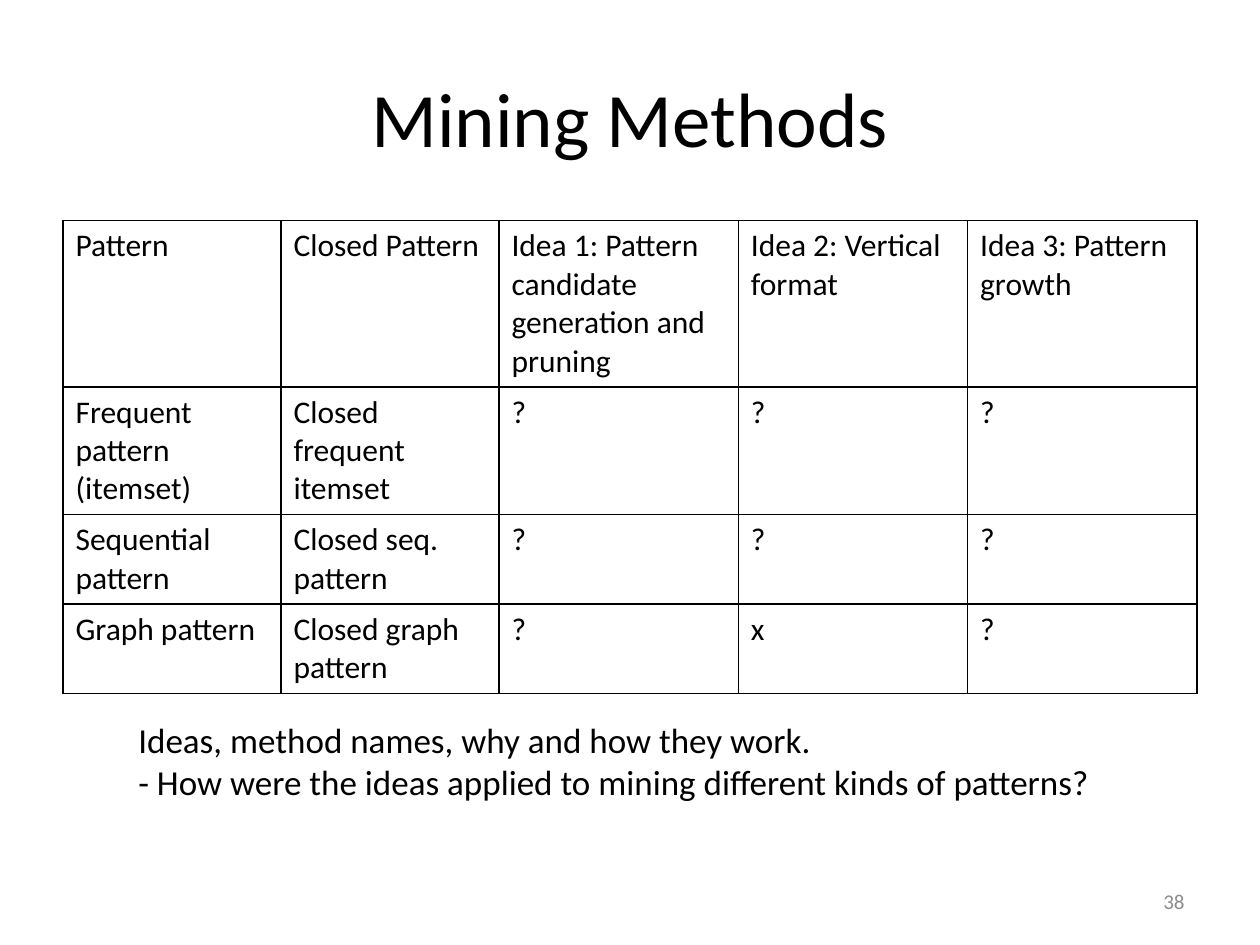
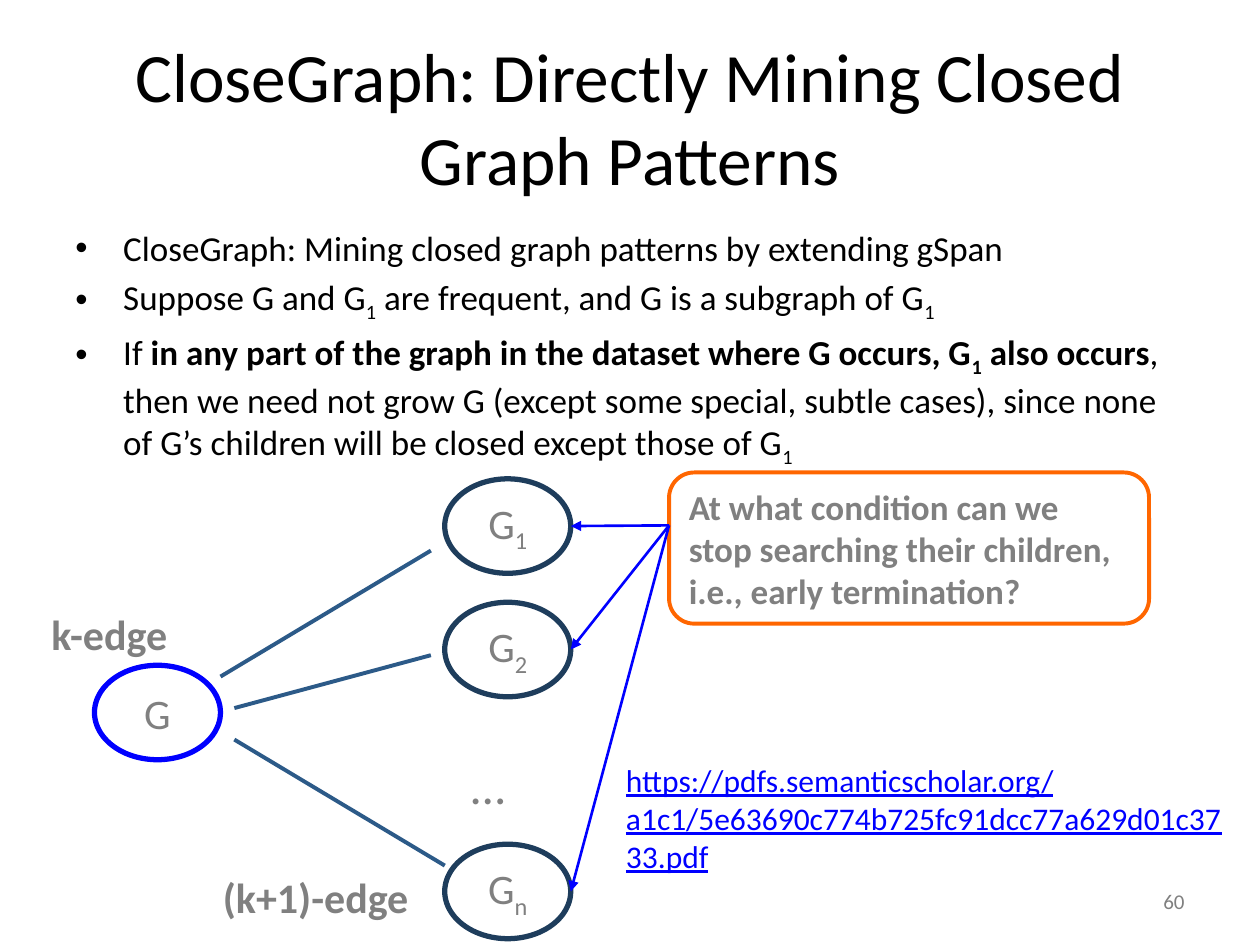
from dataclasses import dataclass

from lxml import etree
from pptx import Presentation
from pptx import util as u
from pptx.dml.color import RGBColor
from pptx.enum import shapes, text
from pptx.oxml.ns import qn


@dataclass(frozen=True)
class Theme:
    font: str = "Calibri"
    ink: str = "000000"
    paper: str = "FFFFFF"
    muted: str = "808080"
    faint: str = "8C8C8C"
    accent: str = "0000FF"
    navy: str = "1E3D5C"
    steel: str = "2C5A88"
    orange: str = "FF6600"
    title: float = 44
    long_title: float = 39.6
    body: float = 20
    table: float = 18
    label: float = 24
    dots: float = 28
    footer: float = 12


THEME = Theme()
WIDTH, HEIGHT, MARGIN = 10, 7.5, 0.5
CONTENT = WIDTH - 2 * MARGIN
TOP = 1.75
LEFT, CENTER, RIGHT = text.PP_ALIGN.LEFT, text.PP_ALIGN.CENTER, text.PP_ALIGN.RIGHT
MIDDLE = text.MSO_ANCHOR.MIDDLE
SUB, BOLD = "sub", "bold"

METHODS = [
    ["Pattern", "Closed Pattern", "Idea 1: Pattern candidate generation and pruning",
     "Idea 2: Vertical format", "Idea 3: Pattern growth"],
    ["Frequent pattern (itemset)", "Closed frequent itemset", "?", "?", "?"],
    ["Sequential pattern", "Closed seq. pattern", "?", "?", "?"],
    ["Graph pattern", "Closed graph pattern", "?", "x", "?"],
]
COLUMN_WIDTHS = [1.73, 1.73, 1.9, 1.82, 1.82]
LINES_PER_ROW = [4, 3, 2, 2]
LINE_HEIGHT, CELL_PADDING = 0.305, 0.1
QUESTIONS = [
    "Ideas, method names, why and how they work.",
    "- How were the ideas applied to mining different kinds of patterns?",
]

BULLETS = [
    ["CloseGraph: Mining closed graph patterns by extending gSpan"],
    ["Suppose G and G", ("1", SUB), " are frequent, and G is a subgraph of G", ("1", SUB)],
    ["If ", ("in any part of the graph in the dataset where G occurs, G", BOLD),
     ("1", SUB, BOLD), (" also occurs", BOLD),
     ", then we need not grow G (except some special, subtle cases), since none "
     "of G’s children will be closed except those of G", ("1", SUB)],
]
CONDITION = [
    "At what condition can we",
    "stop searching their children,",
    "i.e., early termination?",
]
PAPER_URL = "https://pdfs.semanticscholar.org/a1c1/5e63690c774b725fc91dcc77a629d01c3733.pdf"
NODE_WIDTH, NODE_HEIGHT = 1, 0.75
PARENT = (0.75, 5.28)
CHILD_LEFT = 3.53
CHILDREN = [("1", 3.8), ("2", 4.78), ("n", 6.7)]
EDGES = [((1.75, 5.37), (3.42, 4.37)), ((1.86, 5.62), (3.42, 5.2)), ((1.86, 5.87), (3.53, 6.87))]
CALLOUT = (5.31, 3.75, 3.81, 1.2)
ARROW_START = (5.31, 4.17)
LABELS = [
    ("k-edge", (0.31, 4.78, 1.19, 0.5), THEME.label, True),
    ("(k+1)-edge", (1.67, 6.87, 2.45, 0.5), THEME.label, True),
    ("…", (3.64, 5.95, 0.52, 0.57), THEME.dots, False),
]


def inches(values):
    return [u.Inches(value) for value in values]


def color(value):
    return RGBColor.from_string(value)


def style(font, size, ink, bold=False):
    font.name, font.size, font.bold = THEME.font, u.Pt(size), bold
    font.color.rgb = color(ink)


def write(frame, paragraphs, size, ink, align=LEFT, bold=False):
    for index, pieces in enumerate(paragraphs):
        para = frame.paragraphs[0] if index == 0 else frame.add_paragraph()
        para.alignment = align
        for piece in [pieces] if isinstance(pieces, str) else pieces:
            words, *marks = (piece,) if isinstance(piece, str) else piece
            span = para.add_run()
            span.text = words
            style(span.font, size, ink, bold or BOLD in marks)
            if SUB in marks:
                span._r.get_or_add_rPr().set("baseline", "-25000")


def add_text(page, place, paragraphs, size, ink, anchor=text.MSO_ANCHOR.TOP, **options):
    frame = page.shapes.add_textbox(*inches(place)).text_frame
    frame.word_wrap = True
    frame.vertical_anchor = anchor
    write(frame, paragraphs, size, ink, **options)
    return frame


def add_page(deck, title, title_size, number, number_ink):
    page = deck.slides.add_slide(deck.slide_layouts[6])
    add_text(page, (MARGIN, 0.3, CONTENT, 1.25), [title], title_size, THEME.ink, MIDDLE, align=CENTER)
    add_text(page, (7.17, 6.95, 2.33, 0.4), [number], THEME.footer, number_ink, MIDDLE, align=RIGHT)
    return page


def add_box(page, kind, place, line, weight):
    box = page.shapes.add_shape(kind, *inches(place))
    box.shadow.inherit = False
    box.fill.solid()
    box.fill.fore_color.rgb = color(THEME.paper)
    box.line.color.rgb = color(line)
    box.line.width = u.Pt(weight)
    box.text_frame.vertical_anchor = MIDDLE
    return box


def add_node(page, left, top, line, pieces):
    place = (left, top, NODE_WIDTH, NODE_HEIGHT)
    node = add_box(page, shapes.MSO_SHAPE.OVAL, place, line, 3)
    node.text_frame.word_wrap = False
    write(node.text_frame, [pieces], THEME.label, THEME.muted, align=CENTER)


def add_line(page, start, end, ink, weight, arrow=False):
    line = page.shapes.add_connector(shapes.MSO_CONNECTOR.STRAIGHT, *inches(start + end))
    line.line.color.rgb = color(ink)
    line.line.width = u.Pt(weight)
    if arrow:
        etree.SubElement(line.line._get_or_add_ln(), qn("a:tailEnd"), type="triangle")
    etree.SubElement(line._element.spPr, qn("a:effectLst"))


def add_borders(cell):
    properties = cell._tc.get_or_add_tcPr()
    for index, side in enumerate(("lnL", "lnR", "lnT", "lnB")):
        border = etree.Element(qn(f"a:{side}"), w=str(u.Pt(1)))
        fill = etree.SubElement(border, qn("a:solidFill"))
        etree.SubElement(fill, qn("a:srgbClr"), val=THEME.ink)
        properties.insert(index, border)


def add_methods_table(page):
    heights = [lines * LINE_HEIGHT + CELL_PADDING for lines in LINES_PER_ROW]
    place = (MARGIN, TOP, CONTENT, sum(heights))
    table = page.shapes.add_table(len(METHODS), len(COLUMN_WIDTHS), *inches(place)).table
    table.first_row = table.horz_banding = False
    for column, width in zip(table.columns, COLUMN_WIDTHS):
        column.width = u.Inches(width)
    for row, height, entries in zip(table.rows, heights, METHODS):
        row.height = u.Inches(height)
        for cell, entry in zip(row.cells, entries):
            cell.fill.background()
            add_borders(cell)
            write(cell.text_frame, [entry], THEME.table, THEME.ink)


def add_bullets(page):
    frame = add_text(page, (MARGIN, TOP, CONTENT, 2.1), BULLETS, THEME.body, THEME.ink)
    for index, para in enumerate(frame.paragraphs):
        para.space_before = u.Pt(THEME.body * 0.2 if index else 0)
        properties = para._p.get_or_add_pPr()
        indent = u.Inches(0.38)
        properties.set("marL", str(indent))
        properties.set("indent", str(-indent))
        etree.SubElement(properties, qn("a:buFont"), typeface="Arial")
        etree.SubElement(properties, qn("a:buChar"), char="•")


def add_graph(page):
    add_node(page, *PARENT, THEME.accent, ["G"])
    for subscript, top in CHILDREN:
        add_node(page, CHILD_LEFT, top, THEME.navy, ["G", (subscript, SUB)])
    for start, end in EDGES:
        add_line(page, start, end, THEME.steel, 2.25)
    for label, place, size, bold in LABELS:
        add_text(page, place, [label], size, THEME.muted, bold=bold)
    callout = add_box(page, shapes.MSO_SHAPE.ROUNDED_RECTANGLE, CALLOUT, THEME.orange, 2.25)
    callout.text_frame.word_wrap = True
    write(callout.text_frame, CONDITION, THEME.body, THEME.muted, bold=True)
    for _, top in CHILDREN:
        end = (CHILD_LEFT + NODE_WIDTH, top + NODE_HEIGHT / 2)
        add_line(page, ARROW_START, end, THEME.accent, 1.5, arrow=True)


def main():
    deck = Presentation()
    deck.slide_width, deck.slide_height = inches((WIDTH, HEIGHT))

    page = add_page(deck, "Mining Methods", THEME.title, "38", THEME.faint)
    add_methods_table(page)
    add_text(page, (1, 5.65, 8, 0.77), QUESTIONS, THEME.body, THEME.ink)

    page = add_page(deck, "CloseGraph: Directly Mining Closed Graph Patterns",
                    THEME.long_title, "60", THEME.muted)
    add_bullets(page)
    add_graph(page)
    link = add_text(page, (4.87, 5.99, 5, 1.01), [PAPER_URL], THEME.table, THEME.accent)
    link.paragraphs[0].runs[0].font.underline = True

    deck.save("out.pptx")


if __name__ == "__main__":
    main()
